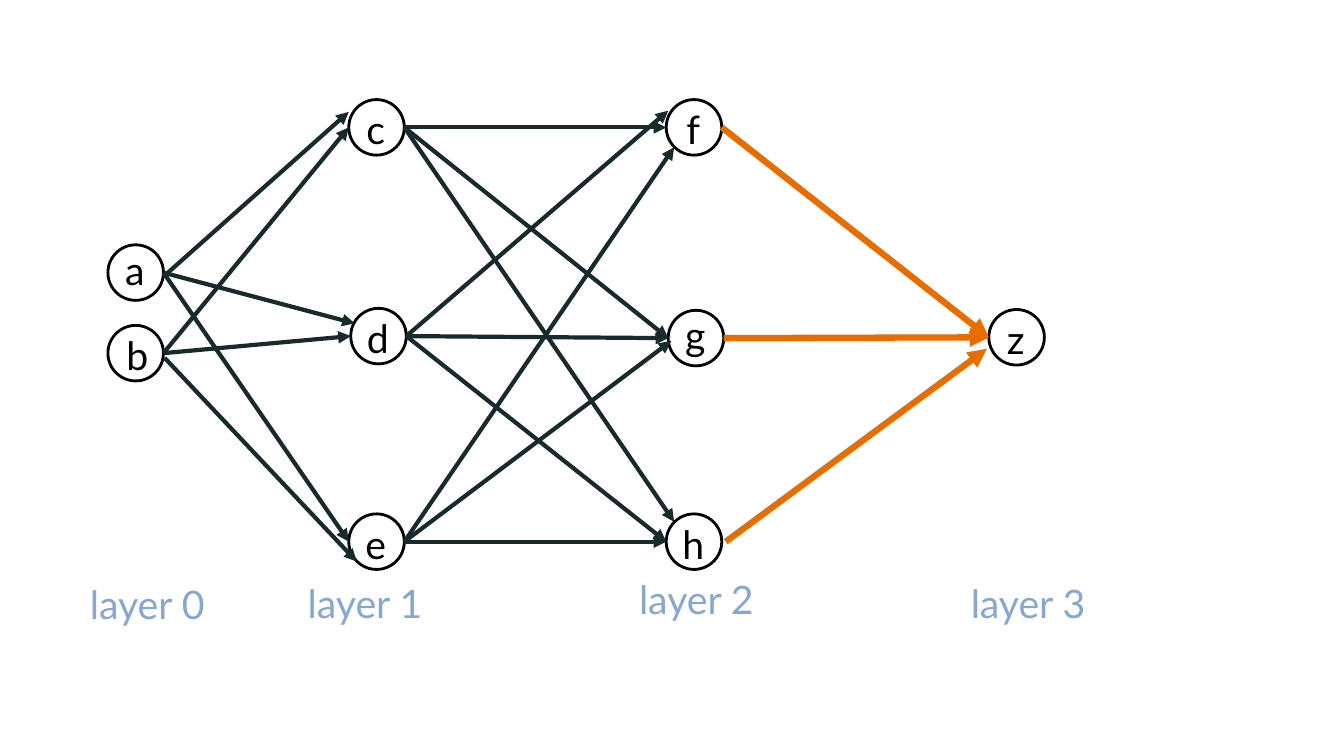
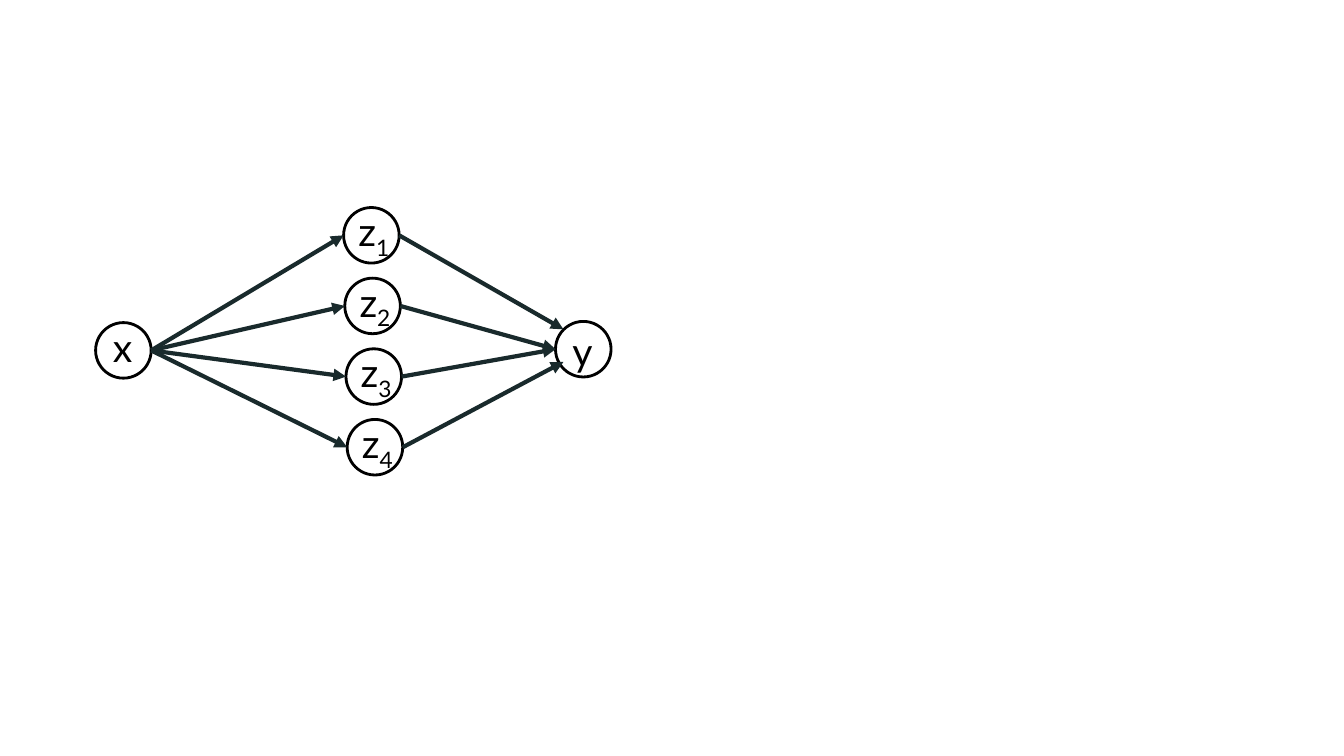
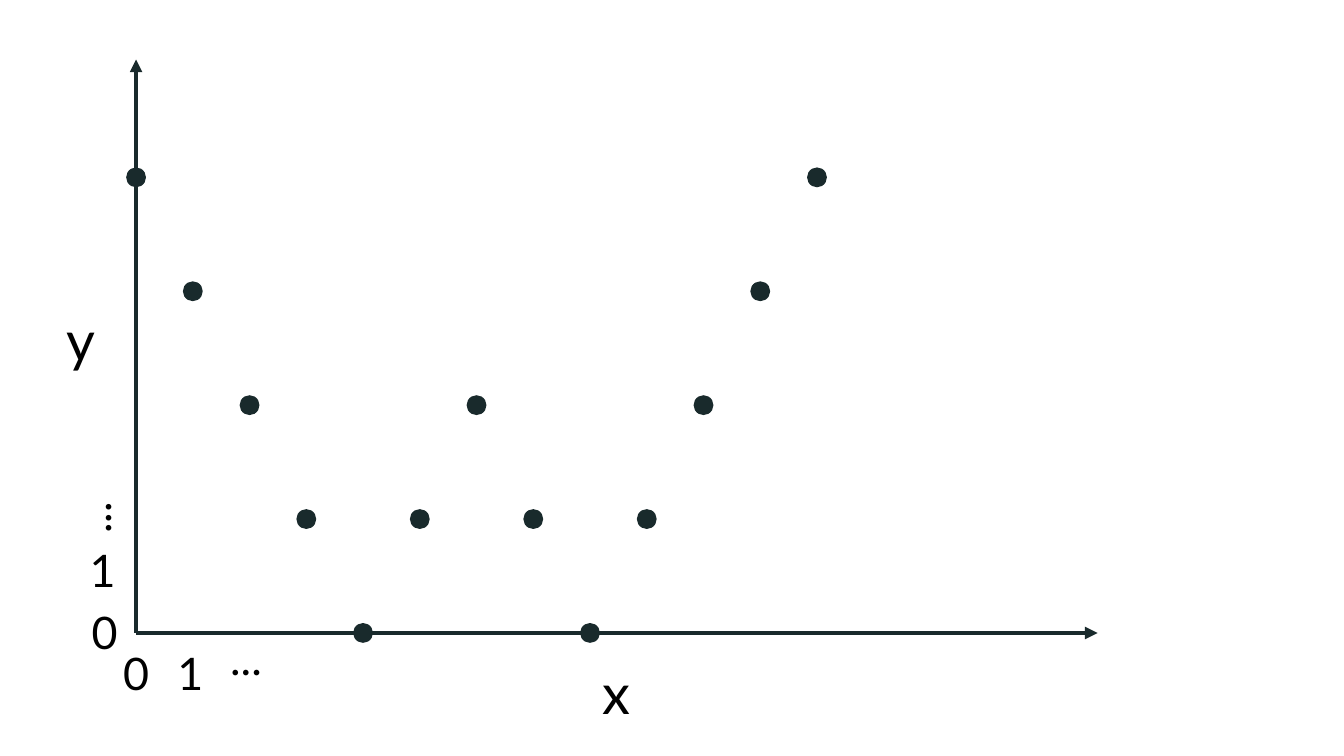
from lxml.etree import SubElement
from pptx import Presentation
from pptx.dml.color import RGBColor
from pptx.enum.shapes import MSO_CONNECTOR, MSO_SHAPE
from pptx.enum.text import MSO_AUTO_SIZE, PP_ALIGN
from pptx.oxml.ns import qn
from pptx.util import Cm, Pt

# Shared look
BLACK, DARK, ORANGE, BLUE = "000000", "192A2C", "E76D00", "87A7D0"
FONT = "Lato"
NODE_SIZE = 1.4
DOT_SIZE = 0.5
LABEL_WIDTH, LABEL_HEIGHT = 2.08, 1.45


def color(value):
    return RGBColor.from_string(value)


def add_label(slide, text, left, top, width=LABEL_WIDTH, height=LABEL_HEIGHT,
              size=28, ink=BLACK, subscript="", rotation=0):
    label = slide.shapes.add_textbox(Cm(left), Cm(top), Cm(width), Cm(height))
    label.rotation = rotation
    frame_format = {"word_wrap": True, "auto_size": MSO_AUTO_SIZE.SHAPE_TO_FIT_TEXT}
    for name, value in frame_format.items():
        setattr(label.text_frame, name, value)
    paragraph = label.text_frame.paragraphs[0]
    paragraph.alignment = PP_ALIGN.CENTER
    for part in filter(None, (text, subscript)):
        run = paragraph.add_run()
        run.text = part
        for name, value in {"name": FONT, "size": Pt(size)}.items():
            setattr(run.font, name, value)
        run.font.color.rgb = color(ink)
    if subscript:
        run.font._element.set("baseline", "-25000")


def add_circle(slide, left, top, size):
    circle = slide.shapes.add_shape(MSO_SHAPE.OVAL, Cm(left), Cm(top), Cm(size), Cm(size))
    circle.shadow.inherit = False
    return circle


def add_node(slide, name, left, top, shift_x=-0.36, shift_y=0.03):
    """Ring with its letter; any characters after the first are a subscript."""
    ring = add_circle(slide, left, top, NODE_SIZE)
    ring.fill.background()
    ring.line.color.rgb = color(BLACK)
    ring.line.width = Pt(2)
    add_label(slide, name[0], left + shift_x, top + shift_y, subscript=name[1:])


def add_dot(slide, center_x, center_y):
    dot = add_circle(slide, center_x - DOT_SIZE / 2, center_y - DOT_SIZE / 2, DOT_SIZE)
    dot.fill.solid()
    dot.fill.fore_color.rgb = color(DARK)
    dot.line.fill.background()


def add_arrow(slide, start, end, ink=DARK, width=3):
    arrow = slide.shapes.add_connector(
        MSO_CONNECTOR.STRAIGHT, *(Cm(length) for length in (*start, *end)))
    arrow.line.color.rgb = color(ink)
    arrow.line.width = Pt(width)
    properties = arrow._element.spPr
    SubElement(properties.find(qn("a:ln")), qn("a:tailEnd"), type="triangle")
    SubElement(properties, qn("a:effectLst"))


def add_edge(slide, nodes, source, target, end_shift=(0, 0), start_shift=(0, 0), **style):
    """Arrow from the right of one node to the left of another."""
    (source_x, source_y), (target_x, target_y) = nodes[source][:2], nodes[target][:2]
    radius = NODE_SIZE / 2
    start = source_x + NODE_SIZE + start_shift[0], source_y + radius + start_shift[1]
    end = target_x + end_shift[0], target_y + radius + end_shift[1]
    add_arrow(slide, start, end, **style)


def add_network(slide, nodes, edges):
    for name, place in nodes.items():
        add_node(slide, name, *place)
    for edge in edges:
        add_edge(slide, nodes, *edge)


def build_layers(slide):
    # Left and top of each node, then any label shift
    nodes = {
        "a": (2.72, 6.17, -0.36, -0.08), "b": (2.72, 8.2, -0.3),
        "c": (8.79, 2.51), "d": (8.84, 7.77), "e": (8.79, 12.95),
        "f": (16.79, 2.51), "g": (16.84, 7.82, -0.36, -0.1), "h": (16.79, 12.95),
        "z": (24.92, 7.8),
    }
    add_network(slide, nodes, [
        ("a", "c", (0, -0.39), (0, 0.1)), ("a", "d", (0.1, -0.32)), ("a", "e"),
        ("b", "c"), ("b", "d"), ("b", "e", (0.2, 0.5), (0.03, 0.12)),
        ("c", "f"), ("c", "g"), ("c", "h", (0.2, -0.5)),
        ("d", "f", (0.05, -0.42)), ("d", "g"), ("d", "h"),
        ("e", "f", (0.2, 0.5)), ("e", "g", (0.08, 0.07)), ("e", "h"),
    ])
    # Highlighted last step
    for edge in (("f", "z"), ("g", "z"), ("h", "z", (-0.05, 0.29), (0.1, 0))):
        add_edge(slide, nodes, *edge, ink=ORANGE, width=4.5)
    # Layer captions
    captions = ((1.27, 14.5), (6.76, 14.48), (15.11, 14.38), (23.47, 14.48))
    for layer, (left, top) in enumerate(captions):
        add_label(slide, f"layer {layer}", left, top, width=4.88, ink=BLUE)


def build_fan(slide):
    nodes = {"x": (2.41, 8.13, -0.36, -0.1), "y": (14, 8.1)}
    hidden = [f"z{index}" for index in range(1, 5)]
    for row, name in enumerate(hidden):
        nodes[name] = (8.66 + 0.03 * row, 5.23 + 1.78 * row, -0.28, -0.13)
    end_shifts = {"z1": (0.2, -0.5), "z4": (0.2, 0.32)}
    edges = [("x", name) for name in hidden]
    edges += [(name, "y", end_shifts.get(name, (0, 0))) for name in hidden]
    add_network(slide, nodes, edges)


def build_plot(slide):
    origin_x, origin_y = 3.43, 15.95
    step_x, step_y = 1.43, 2.87
    # Axes
    for tip in ((origin_x, 1.5), (27.66, origin_y)):
        add_arrow(slide, (origin_x, origin_y), tip)
    # Axis names
    add_label(slide, "x", 14.5, 16.46, height=1.96, size=40)
    add_label(slide, "y", 1.42, 7.57, width=1.07, height=1.96, size=40)
    # Points
    for column, level in enumerate((4, 3, 2, 1, 0, 1, 2, 1, 0, 1, 2, 3, 4)):
        add_dot(slide, origin_x + column * step_x, origin_y - level * step_y)
    # Tick labels: text, left, top, rotation
    ticks = (
        ("0", 2.39, 16.15, 0), ("1", 3.76, 16.15, 0), ("...", 5.16, 15.77, 0),
        ("0", 1.6, 15.11, 0), ("1", 1.55, 13.56, 0), ("...", 1.32, 12.23, 270),
    )
    for text, left, top, rotation in ticks:
        add_label(slide, text, left, top, height=1.63, size=32, rotation=rotation)


def main():
    presentation = Presentation()
    presentation.slide_width, presentation.slide_height = Cm(33.87), Cm(19.05)
    blank = presentation.slide_layouts[6]
    for build in (build_layers, build_fan, build_plot):
        build(presentation.slides.add_slide(blank))
    presentation.save("out.pptx")


if __name__ == "__main__":
    main()
